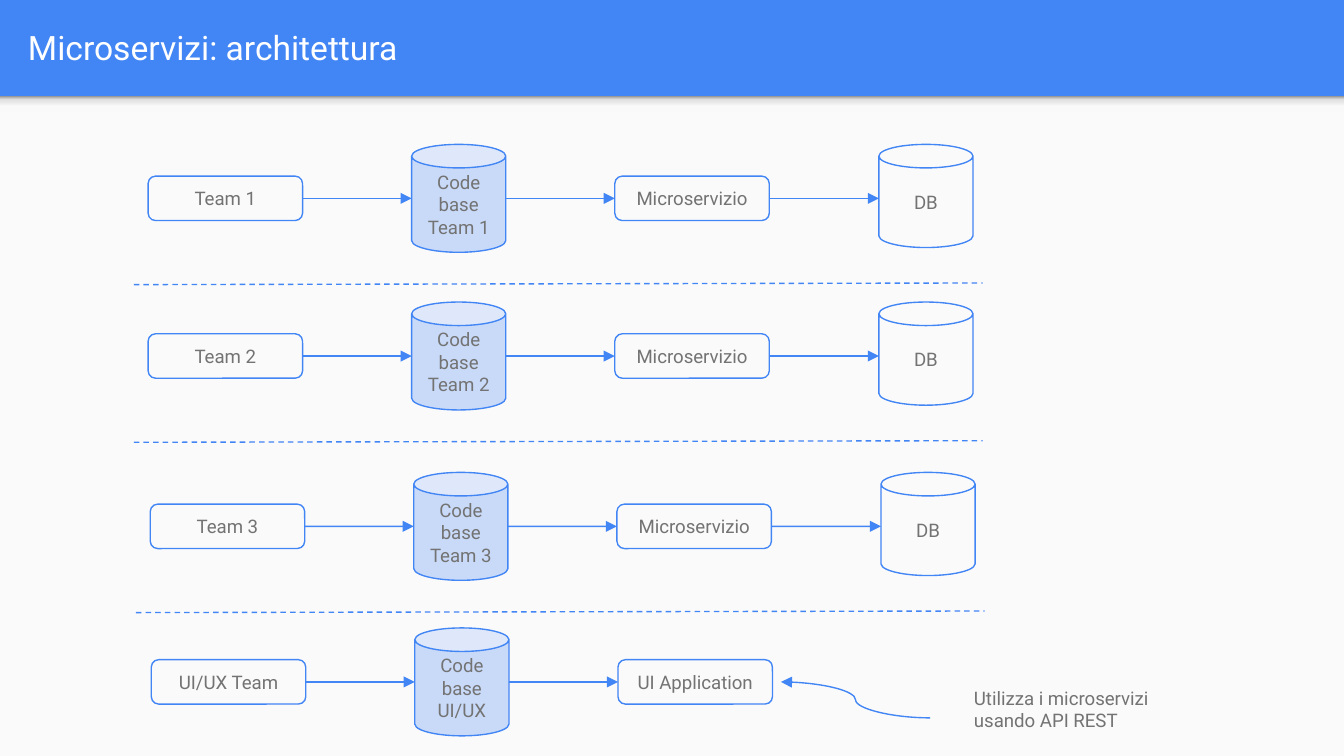
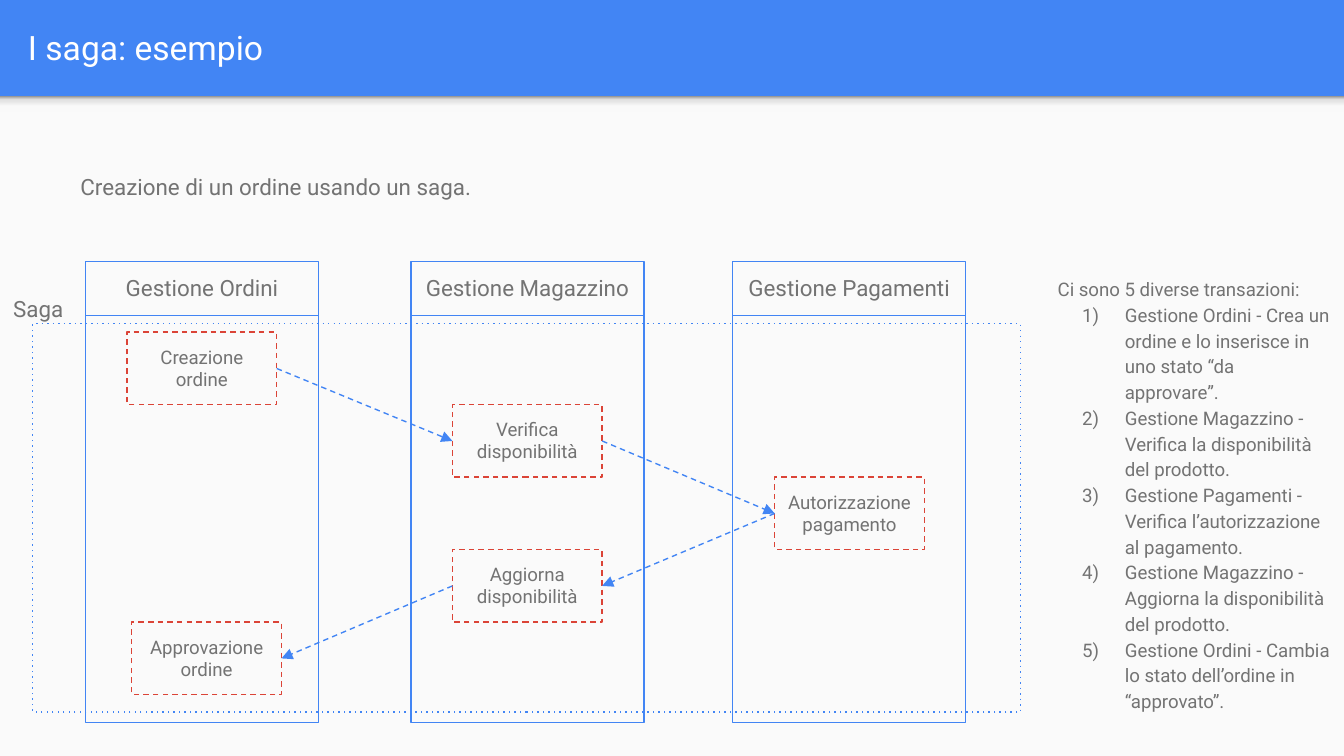
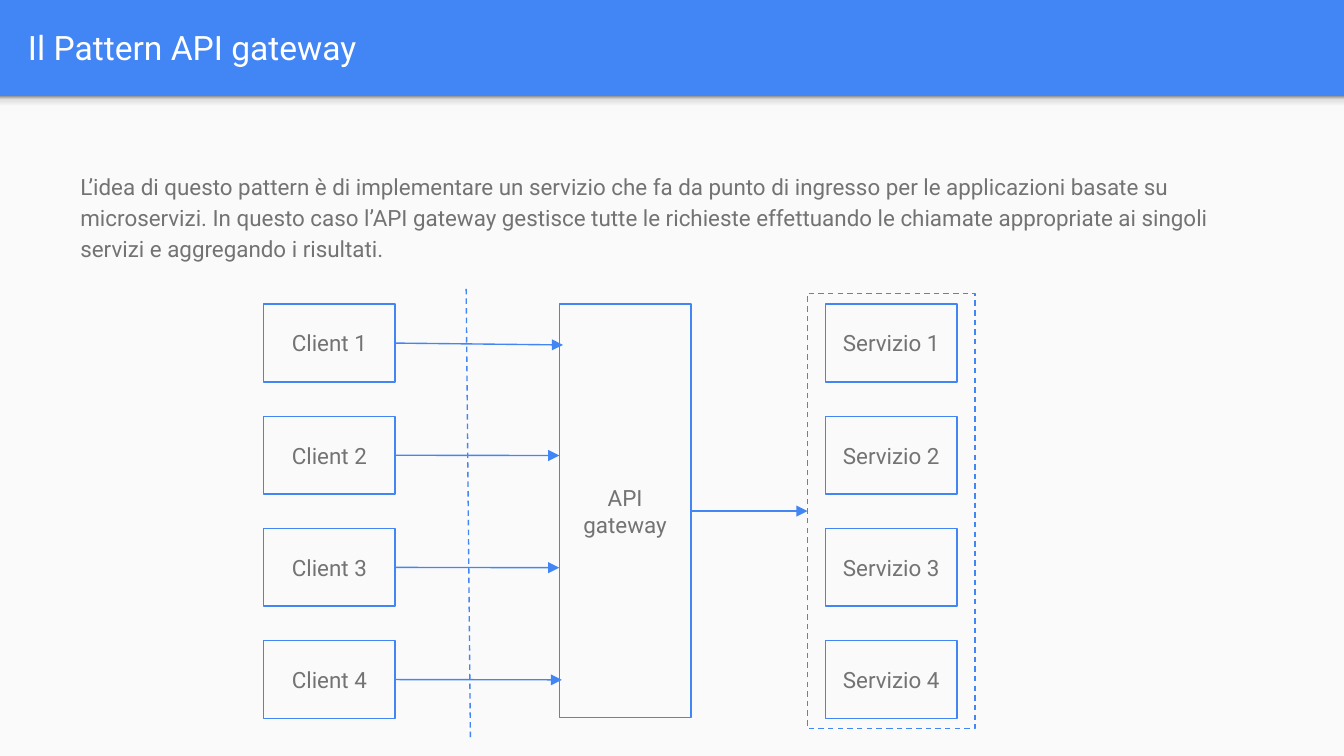
from lxml.etree import SubElement
from pptx import Presentation
from pptx.dml.color import RGBColor
from pptx.enum.dml import MSO_LINE
from pptx.enum.shapes import MSO_CONNECTOR, MSO_SHAPE
from pptx.enum.text import MSO_ANCHOR, PP_ALIGN
from pptx.oxml.ns import qn
from pptx.util import Cm, Pt

BLUE = RGBColor(0x42, 0x85, 0xF4)
LIGHT_BLUE = RGBColor(0xC9, 0xDA, 0xF8)
RED = RGBColor(0xDB, 0x44, 0x37)
GREY = RGBColor(0x73, 0x73, 0x73)
PAPER = RGBColor(0xFA, 0xFA, 0xFA)
WHITE = RGBColor(0xFF, 0xFF, 0xFF)
SHADOW_STOPS = [(0, "F9F9F9"), (36, "F9F9F9"), (80, "DEDEDE"), (100, "999999")]
FONT = "Roboto"
TOP, LEFT, RIGHT = 0, 1, 3


def add_box(slide, text, left, top, width, height, kind=None, fill=None, line=None, dash=None,
            size=10, color=GREY, align=PP_ALIGN.CENTER, anchor=MSO_ANCHOR.MIDDLE, spacing=None):
    frame = Cm(left), Cm(top), Cm(width), Cm(height)
    if kind is None:
        shape = slide.shapes.add_textbox(*frame)
    else:
        shape = slide.shapes.add_shape(kind, *frame)
        shape.shadow.inherit = False
    if fill is None:
        shape.fill.background()
    else:
        shape.fill.solid()
        shape.fill.fore_color.rgb = fill
    if line is None:
        shape.line.fill.background()
    else:
        shape.line.color.rgb = line
        shape.line.width = Pt(0.75)
        if dash:
            shape.line.dash_style = dash
    if text:
        text_frame = shape.text_frame
        text_frame.word_wrap = True
        text_frame.vertical_anchor = anchor
        text_frame.margin_left = text_frame.margin_right = Cm(0.25)
        text_frame.margin_top = text_frame.margin_bottom = Cm(0.25)
        text_frame.text = text
        for paragraph in text_frame.paragraphs:
            paragraph.alignment = align
            if spacing:
                paragraph.line_spacing = spacing
            for run in paragraph.runs:
                run.font.name = FONT
                run.font.size = Pt(size)
                run.font.color.rgb = color
    return shape


def add_line(slide, start, end, kind=MSO_CONNECTOR.STRAIGHT, arrow="a:tailEnd", dash=None):
    points = [(0, 0) if len(place) == 2 and not isinstance(place[0], (int, float)) else place
              for place in (start, end)]
    (start_x, start_y), (end_x, end_y) = points
    connector = slide.shapes.add_connector(kind, Cm(start_x), Cm(start_y), Cm(end_x), Cm(end_y))
    if points[0] is not start:
        connector.begin_connect(*start)
    if points[1] is not end:
        connector.end_connect(*end)
    connector.line.color.rgb = BLUE
    connector.line.width = Pt(0.75)
    if dash:
        connector.line.dash_style = dash
    properties = connector._element.spPr
    if arrow:
        SubElement(properties.find(qn("a:ln")), qn(arrow), type="triangle")
    SubElement(properties, qn("a:effectLst"))
    return connector


presentation = Presentation()
presentation.slide_width = Cm(25.4)
presentation.slide_height = Cm(14.29)

slides = []
for title in ["Microservizi: architettura", "I saga: esempio", "Il Pattern API gateway"]:
    slide = presentation.slides.add_slide(presentation.slide_layouts[6])
    slide.background.fill.solid()
    slide.background.fill.fore_color.rgb = BLUE
    add_box(slide, "", 0, 1.82, 25.4, 12.47, MSO_SHAPE.RECTANGLE, fill=PAPER)
    band_shadow = add_box(slide, "", 0, 1.82, 25.4, 0.3, MSO_SHAPE.RECTANGLE)
    band_shadow.fill.gradient()
    band_shadow.fill.gradient_angle = 90
    stop_list = band_shadow._element.spPr.find(".//" + qn("a:gsLst"))
    stop_list.clear()
    for position, value in SHADOW_STOPS:
        stop = SubElement(stop_list, qn("a:gs"), pos=str(position * 1000))
        SubElement(stop, qn("a:srgbClr"), val=value)
    add_box(slide, title, 0.28, 0.05, 24.51, 1.68, size=18, color=WHITE, align=PP_ALIGN.LEFT)
    slides.append(slide)

architecture, saga, gateway_pattern = slides

team_rows = [
    ("Team 1", "Team 1", "Microservizio", 0, 3.75),
    ("Team 2", "Team 2", "Microservizio", 0, 6.73),
    ("Team 3", "Team 3", "Microservizio", 0.04, 9.95),
    ("UI/UX Team", "UI/UX", "UI Application", 0.06, 12.89),
]
for team, code_owner, service, shift, middle in team_rows:
    team_left, code_left, service_left, database_left = [
        left + shift for left in (2.8, 7.78, 11.62, 16.61)]
    code_top = middle - 1.02
    team_box = add_box(architecture, team, team_left, middle - 0.42, 2.92, 0.84,
                       MSO_SHAPE.ROUNDED_RECTANGLE, line=BLUE)
    add_box(architecture, "Code base\n" + code_owner, code_left, code_top, 1.78, 2.04,
            MSO_SHAPE.CAN, fill=LIGHT_BLUE, line=BLUE)
    service_box = add_box(architecture, service, service_left, middle - 0.42, 2.92, 0.84,
                          MSO_SHAPE.ROUNDED_RECTANGLE, line=BLUE)
    add_line(architecture, (team_box, RIGHT), (code_left, middle))
    add_line(architecture, (code_left + 1.78, middle), (service_box, LEFT))
    if service == "Microservizio":
        add_box(architecture, "DB", database_left, code_top, 1.78, 1.95, MSO_SHAPE.CAN, line=BLUE)
        add_line(architecture, (service_box, RIGHT), (database_left, middle))
        add_line(architecture, (2.53 + shift, middle + 1.63), (18.57 + shift, middle + 1.6),
                 arrow=None, dash=MSO_LINE.DASH)
add_line(architecture, (14.76, 12.89), (17.58, 13.57), kind=MSO_CONNECTOR.CURVE, arrow="a:headEnd")
add_box(architecture, "Utilizza i microservizi usando API REST", 18.11, 12.91, 4.75, 0.99,
        MSO_SHAPE.ROUNDED_RECTANGLE, align=PP_ALIGN.LEFT)

body_style = {"align": PP_ALIGN.LEFT, "anchor": MSO_ANCHOR.TOP, "spacing": 1.15}

saga_frame = add_box(saga, "", 0.62, 6.12, 18.67, 7.34, MSO_SHAPE.RECTANGLE,
                     line=BLUE, dash=MSO_LINE.ROUND_DOT)
saga_frame._element.spPr.find(".//" + qn("a:prstDash")).set("val", "dot")
add_box(saga, "Creazione di un ordine usando un saga.", 1.27, 2.95, 22.83, 0.86,
        size=12, **body_style)
add_box(saga, "Saga", 0, 5.26, 1.52, 0.86, size=12, **body_style)

for name, left in [("Gestione Ordini", 1.62), ("Gestione Magazzino", 7.77),
                   ("Gestione Pagamenti", 13.85)]:
    add_box(saga, name, left, 4.94, 4.4, 1.02, MSO_SHAPE.RECTANGLE, line=BLUE,
            size=12, anchor=MSO_ANCHOR.TOP)
    add_box(saga, "", left, 5.96, 4.4, 7.7, MSO_SHAPE.RECTANGLE, line=BLUE)

steps = []
for index, (name, left) in enumerate([
        ("Creazione ordine", 2.4), ("Verifica disponibilità", 8.55),
        ("Autorizzazione pagamento", 14.64), ("Aggiorna disponibilità", 8.55),
        ("Approvazione ordine", 2.49)]):
    steps.append(add_box(saga, name, left, 6.28 + 1.37 * index, 2.83, 1.37, MSO_SHAPE.RECTANGLE,
                         line=RED, dash=MSO_LINE.DASH, anchor=MSO_ANCHOR.TOP))
for step, next_step in zip(steps, steps[1:]):
    sides = (RIGHT, LEFT) if step.left < next_step.left else (LEFT, RIGHT)
    add_line(saga, (step, sides[0]), (next_step, sides[1]), dash=MSO_LINE.DASH)

transactions = [
    "Ci sono 5 diverse transazioni:",
    "Gestione Ordini - Crea un ordine e lo inserisce in uno stato “da approvare”.",
    "Gestione Magazzino - Verifica la disponibilità del prodotto.",
    "Gestione Pagamenti - Verifica l’autorizzazione al pagamento.",
    "Gestione Magazzino - Aggiorna la disponibilità del prodotto.",
    "Gestione Ordini - Cambia lo stato dell’ordine in “approvato”.",
]
transaction_box = add_box(saga, "\n".join(transactions), 19.74, 4.94, 5.66, 8.2, **body_style)
for paragraph in transaction_box.text_frame.paragraphs[1:]:
    properties = paragraph._p.get_or_add_pPr()
    properties.set("marL", str(Cm(1.27)))
    properties.set("indent", str(-Cm(0.81)))
    bullet_color = SubElement(properties, qn("a:buClr"))
    SubElement(bullet_color, qn("a:srgbClr"), val=str(GREY))
    SubElement(properties, qn("a:buAutoNum"), type="arabicParenR")

add_box(gateway_pattern,
        "L’idea di questo pattern è di implementare un servizio che fa da punto di ingresso per le "
        "applicazioni basate su microservizi. In questo caso l’API gateway gestisce tutte le "
        "richieste effettuando le chiamate appropriate ai singoli servizi e aggregando i risultati.",
        1.27, 2.95, 22.83, 2.16, size=12, **body_style)
service_frame = add_box(gateway_pattern, "", 15.26, 5.55, 3.17, 8.22, MSO_SHAPE.RECTANGLE,
                        line=BLUE, dash=MSO_LINE.DASH)
gateway = add_box(gateway_pattern, "API gateway", 10.57, 5.75, 2.49, 7.82, MSO_SHAPE.RECTANGLE,
                  line=BLUE, size=12)
add_line(gateway_pattern, (gateway, RIGHT), (service_frame, LEFT))

arrow_ends = [(10.64, 6.52), (10.57, 8.61), (10.57, 10.73), (10.62, 12.85)]
for index, arrow_end in enumerate(arrow_ends):
    top = 5.75 + 2.12 * index
    client = add_box(gateway_pattern, f"Client {index + 1}", 4.98, top, 2.49, 1.47,
                     MSO_SHAPE.RECTANGLE, line=BLUE, size=12)
    add_box(gateway_pattern, f"Servizio {index + 1}", 15.6, top, 2.49, 1.47,
            MSO_SHAPE.RECTANGLE, line=BLUE, size=12)
    add_line(gateway_pattern, (client, RIGHT), arrow_end)
add_line(gateway_pattern, (8.81, 5.46), (8.89, 13.94), arrow=None, dash=MSO_LINE.DASH)

presentation.save("out.pptx")
